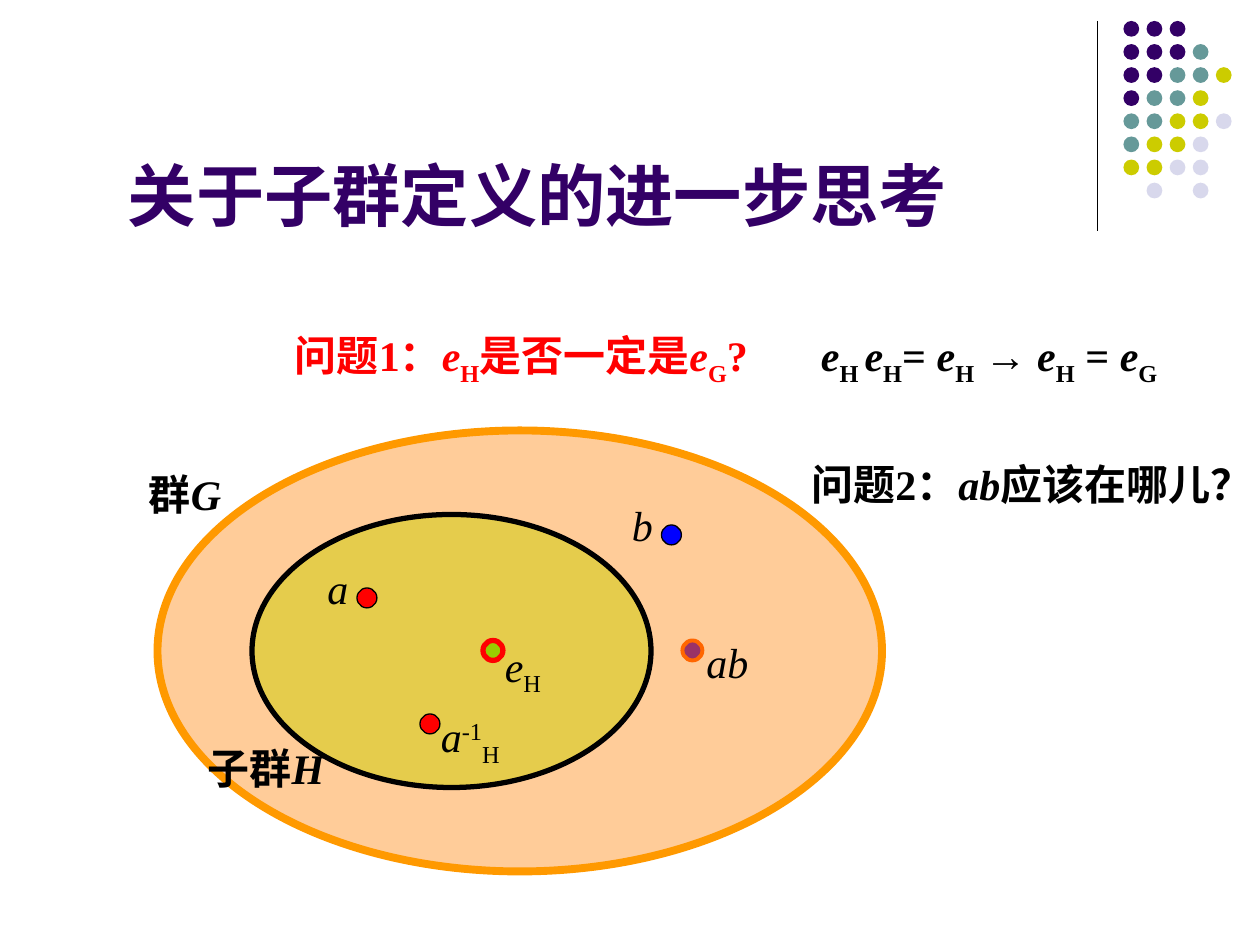
from lxml import etree
from pptx import Presentation
from pptx.dml.color import RGBColor
from pptx.enum.shapes import MSO_CONNECTOR as Connector, MSO_SHAPE as Shape
from pptx.enum.text import MSO_ANCHOR as Anchor
from pptx.oxml.ns import qn
from pptx.util import Emu, Pt

SCALE = 7620  # EMU per px, 120 px to the inch
COLORS = {
    "purple": "330066", "teal": "669999", "olive": "CCCC00", "mist": "D8D8EC",
    "black": "000000", "red": "FF0000", "blue": "0000FF", "green": "99CC00",
    "peach": "FFCC99", "orange": "FF9900", "plum": "993366", "rust": "FF6600",
}
BASELINES = {"sub": "-25000", "sup": "30000"}


def px(length):
    return Emu(length * SCALE)


def color(name):
    return RGBColor.from_string(COLORS[name])


class Sketch:
    def __init__(self, page, font="Times New Roman", size=24):
        self.page = page
        self.font = font
        self.size = size

    def line(self, x1, y1, x2, y2):
        rule = self.page.shapes.add_connector(
            Connector.STRAIGHT, px(x1), px(y1), px(x2), px(y2))
        rule.line.color.rgb = color("black")
        rule.line.width = Pt(0.75)
        etree.SubElement(rule._element.spPr, qn("a:effectLst"))

    def ellipse(self, x, y, width, height, fill, line=None, weight=0.75, alpha=None):
        """Draw an ellipse; alpha is the opacity of its fill in percent."""
        oval = self.page.shapes.add_shape(
            Shape.OVAL, px(x), px(y), px(width), px(height))
        oval.shadow.inherit = False
        oval.fill.solid()
        oval.fill.fore_color.rgb = color(fill)
        if alpha:
            tint = oval._element.spPr.find(qn("a:solidFill"))[0]
            etree.SubElement(tint, qn("a:alpha"), val=str(alpha * 1000))
        if line:
            oval.line.color.rgb = color(line)
            oval.line.width = Pt(weight)
        else:
            oval.line.fill.background()

    def point(self, x, y, fill, line="black", weight=0.75):
        self.ellipse(x, y, 19, 19, fill, line, weight)

    def text(self, x, y, width, spans, height=60, tint="black", bold=False,
             font=None, size=None, anchor=Anchor.TOP):
        """Write one paragraph from (text, style) pairs: "", "italic", "sub" or "sup"."""
        box = self.page.shapes.add_textbox(px(x), px(y), px(width), px(height))
        frame = box.text_frame
        frame.word_wrap = True
        frame.vertical_anchor = anchor
        para = frame.paragraphs[0]
        para.font.name = font or self.font
        para.font.size = Pt(size or self.size)
        para.font.bold = bold
        para.font.color.rgb = color(tint)
        for words, style in spans:
            span = para.add_run()
            span.text = words
            if style == "italic":
                span.font.italic = True
            elif style in BASELINES:
                span._r.get_or_add_rPr().set("baseline", BASELINES[style])


def draw_corner_dots(sketch):
    names = {"P": "purple", "T": "teal", "O": "olive", "M": "mist"}
    rows = ["PPP", "PPPT", "PPTTO", "PTTO", "TTOOM", "TOOM", "OOMM", " M M"]
    for row, letters in enumerate(rows):
        for column, letter in enumerate(letters):
            if letter in names:
                sketch.ellipse(1070 + 22 * column, 20 + 22 * row, 15, 15, names[letter])


def draw_groups(sketch):
    sketch.ellipse(150, 410, 690, 420, "peach", "orange", 4.5)
    sketch.text(130, 440, 210, [("群", ""), ("G", "italic")], bold=True)
    sketch.ellipse(240, 490, 380, 260, "olive", "black", 3, alpha=50)
    sketch.text(186, 701, 154, [("子群", ""), ("H", "italic")], bold=True)


def draw_elements(sketch):
    sketch.point(340, 560, "red")
    sketch.text(300, 530, 50, [("a", "italic")])
    sketch.point(630, 500, "blue")
    sketch.text(590, 470, 50, [("b", "italic")])
    sketch.point(460, 610, "green", "red", 3)
    sketch.text(469, 604, 140, [("e", "italic"), ("H", "sub")])
    sketch.point(400, 680, "red")
    sketch.text(408, 671, 150, [("a", "italic"), ("-1", "sup"), ("H", "sub")])
    sketch.point(650, 610, "plum", "rust", 2.25)
    sketch.text(661, 600, 100, [("ab", "italic")])


def write_questions(sketch):
    e_h = [("e", "italic"), ("H", "sub")]
    e_g = [("e", "italic"), ("G", "sub")]
    sketch.text(761, 431, 439, [("问题2：", ""), ("ab", "italic"), ("应该在哪儿？", "")],
                bold=True)
    sketch.text(269, 308, 463,
                [("问题1：", ""), *e_h, ("是否一定是", ""), *e_g, ("?", "")],
                tint="red", bold=True)
    sketch.text(770, 308, 383,
                [*e_h, (" ", "sub"), *e_h, ("= ", ""), *e_h, (" → ", ""),
                 *e_h, (" = ", ""), *e_g], bold=True)


def main():
    deck = Presentation()
    deck.slide_width, deck.slide_height = px(1200), px(900)
    sketch = Sketch(deck.slides.add_slide(deck.slide_layouts[6]))
    sketch.line(1045, 20, 1045, 220)
    draw_corner_dots(sketch)
    sketch.text(110, 80, 1050, [("关于子群定义的进一步思考", "")], height=150,
                tint="purple", bold=True, font="Arial", size=39, anchor=Anchor.BOTTOM)
    draw_groups(sketch)
    draw_elements(sketch)
    write_questions(sketch)
    deck.save("out.pptx")


if __name__ == "__main__":
    main()
